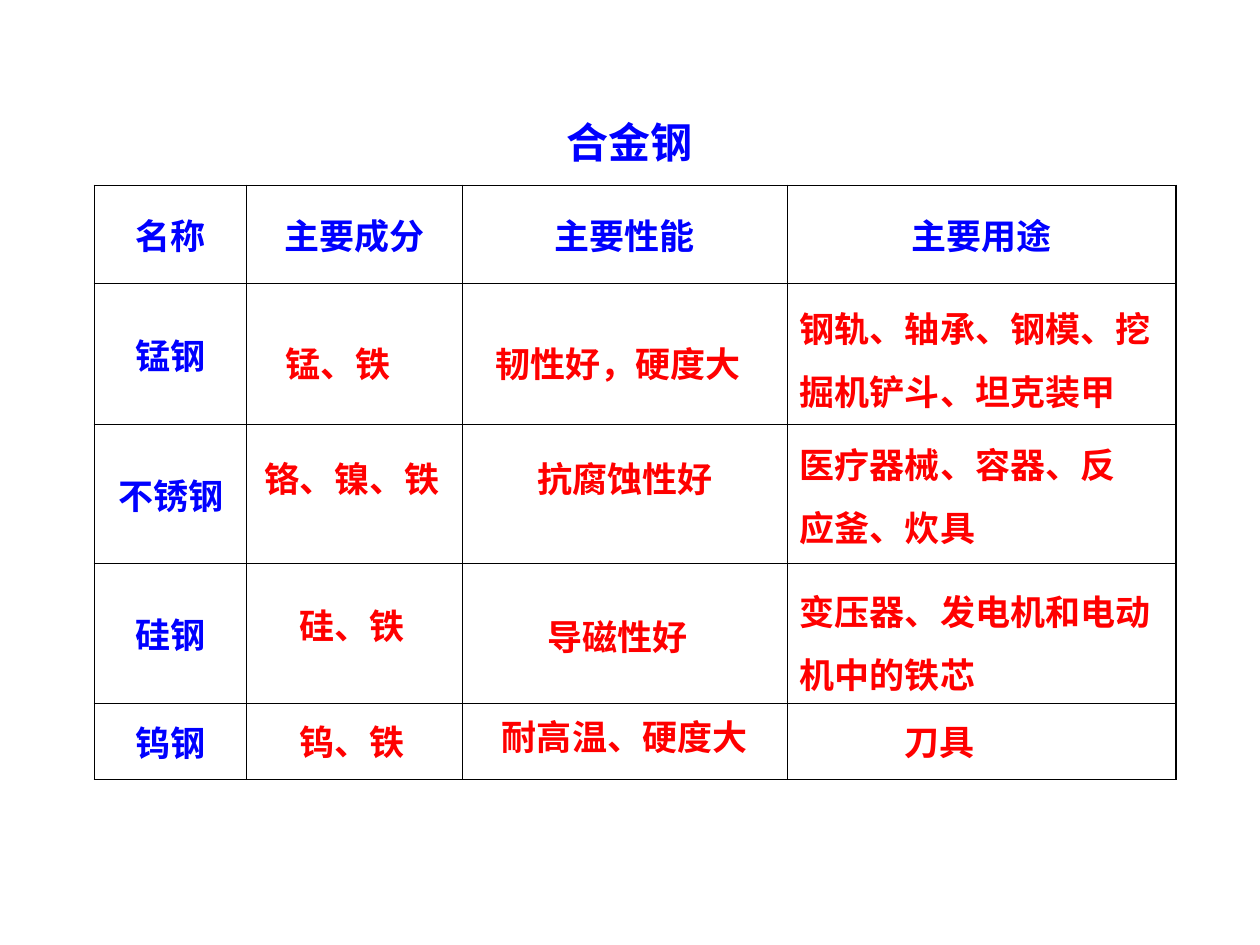
import pptx
import pptx.util
import pptx.dml.color
import pptx.enum.text
import pptx.oxml
import pptx.oxml.ns
from dataclasses import dataclass

Pt = pptx.util.Pt
RGB = pptx.dml.color.RGBColor
Anchor = pptx.enum.text.MSO_ANCHOR
Align = pptx.enum.text.PP_ALIGN
Fit = pptx.enum.text.MSO_AUTO_SIZE


@dataclass(frozen=True)
class Theme:
    label: RGB = RGB(0, 0, 255)
    answer: RGB = RGB(255, 0, 0)
    rule: str = "000000"
    title: int = 24
    body: int = 20
    serif: str = "Times New Roman"
    sans: str = "Arial"
    thin: float = 0.45
    thick: float = 1.08


THEME = Theme()
COLS = [87, 123, 186, 222]
ROWS = [56, 80.5, 79.5, 80, 43.5]
HEADS = ["名称", "主要成分", "主要性能", "主要用途"]
STEELS = ["锰钢", "不锈钢", "硅钢", "钨钢"]
LEFT, MID = Align.LEFT, Align.CENTER
SERIF, SANS = THEME.serif, THEME.sans

NOTES = [
    (102, 86, 108, LEFT, 1, [("锰、铁", SANS)]),
    (222, 86, 192, LEFT, 1, [("韧性好，硬度大", SANS)]),
    (396, 54, 216, LEFT, 1.5, [("钢轨、轴承、钢模、挖掘机铲斗、坦克装甲", SANS)]),
    (90, 152, 144, LEFT, 1, [("铬、镍", SERIF), ("、铁", SANS)]),
    (246, 152, 144, LEFT, 1, [("抗腐蚀性好", SERIF)]),
    (396, 132, 210, LEFT, 1.5, [("医疗器械、容器、反应釜、炊具", SERIF)]),
    (96, 236, 102, MID, 1, [("硅", SERIF), ("、铁", SANS)]),
    (252, 242, 108, LEFT, 1, [("导磁性好", SERIF)]),
    (396, 216, 216, LEFT, 1.5, [("变压器、发电机和电动机中的铁芯", SERIF)]),
    (96, 302, 102, MID, 1, [("钨", SERIF), ("、铁", SANS)]),
    (216, 299.5, 174, MID, 1, [("耐高温、硬度大", SERIF)]),
    (396, 302, 174, MID, 1, [("刀具", SERIF)]),
]


def style(run, font, size, color):
    run.font.name = font
    run.font.size = Pt(size)
    run.font.bold = True
    run.font.color.rgb = color


def write(para, parts, size, color, align):
    para.alignment = align
    for text, font in parts:
        run = para.add_run()
        run.text = text
        style(run, font, size, color)


def add_text(slide, box, parts, size, color, align, space=1):
    frame = slide.shapes.add_textbox(*map(Pt, box)).text_frame
    frame.word_wrap = True
    frame.auto_size = Fit.SHAPE_TO_FIT_TEXT
    para = frame.paragraphs[0]
    write(para, parts, size, color, align)
    if space != 1:
        para.line_spacing = space
    return frame


def add_title(slide, box):
    frame = add_text(slide, box, [("合金钢", SERIF)], THEME.title, THEME.label, MID)
    frame.vertical_anchor = Anchor.MIDDLE


def add_rules(cell, outer):
    props = cell._tc.get_or_add_tcPr()
    space = pptx.oxml.ns.nsdecls("a")
    for spot, (side, edge) in enumerate(zip("LRTB", outer)):
        width = Pt(THEME.thick if edge else THEME.thin)
        line = pptx.oxml.parse_xml(
            f'<a:ln{side} {space} w="{width}"><a:solidFill>'
            f'<a:srgbClr val="{THEME.rule}"/></a:solidFill></a:ln{side}>'
        )
        props.insert(spot, line)


def add_grid(slide, box):
    left, top = box
    size = sum(COLS), sum(ROWS)
    frame = slide.shapes.add_table(len(ROWS), len(COLS), *map(Pt, (left, top, *size)))
    table = frame.table
    table.first_row = table.horz_banding = False
    for col, width in zip(table.columns, COLS):
        col.width = Pt(width)
    for row, height in zip(table.rows, ROWS):
        row.height = Pt(height)
    last_row, last_col = len(ROWS) - 1, len(COLS) - 1
    for r in range(len(ROWS)):
        for c in range(len(COLS)):
            cell = table.cell(r, c)
            cell.fill.background()
            cell.vertical_anchor = Anchor.MIDDLE
            add_rules(cell, (c == 0, c == last_col, r == 0, r == last_row))
            if r == 0 or c == 0:
                text = HEADS[c] if r == 0 else STEELS[r - 1]
                para = cell.text_frame.paragraphs[0]
                write(para, [(text, SERIF)], THEME.body, THEME.label, MID)


def add_notes(slide, box):
    left, top = box
    for x, y, width, align, space, parts in NOTES:
        height = 32 if space == 1 else 79
        place = (left + x, top + y, width, height)
        add_text(slide, place, parts, THEME.body, THEME.answer, align, space)


def main():
    deck = pptx.Presentation()
    deck.slide_width, deck.slide_height = Pt(720), Pt(540)
    slide = deck.slides.add_slide(deck.slide_layouts[6])
    corner = (54, 106)
    add_title(slide, (198, 63, 324, 36))
    add_grid(slide, corner)
    add_notes(slide, corner)
    deck.save("out.pptx")


if __name__ == "__main__":
    main()
